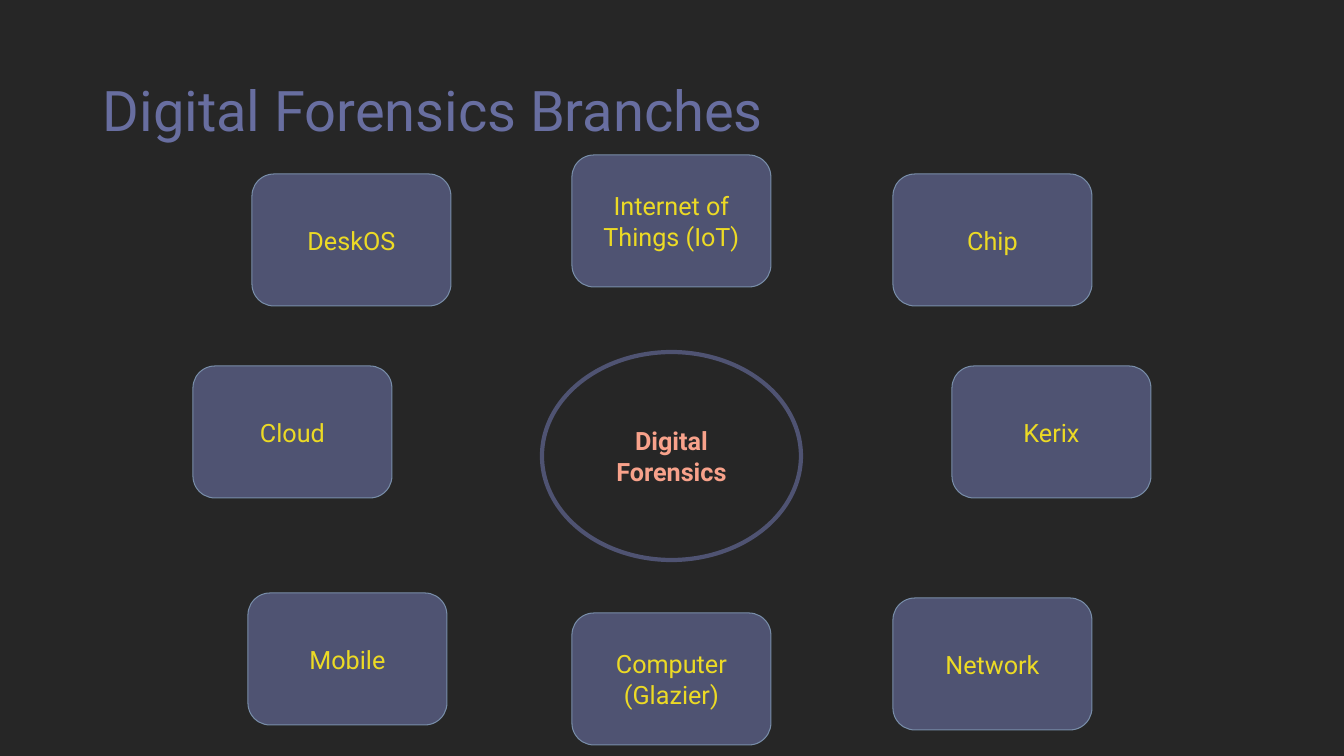
import pptx
import pptx.util
import pptx.dml.color
import pptx.enum.shapes
import pptx.enum.text

SCALE = 914400 / 100.8
HUES = {
    "back": "262626",
    "title": "686EA0",
    "card": "4F5372",
    "edge": "788DA8",
    "label": "ECDA25",
    "core": "F8A28B",
}
WIDE, HIGH = 1344, 756
CARD_W, CARD_H = 199, 132
MID = (WIDE - CARD_W) // 2
LEFT, RIGHT = 252, 893
CARDS = [
    ("DeskOS", LEFT, 174),
    ("Internet of Things (IoT)", MID, 155),
    ("Chip", RIGHT, 174),
    ("Kerix", 952, 366),
    ("Network", RIGHT, 598),
    ("Computer (Glazier)", MID, 613),
    ("Mobile", 248, 593),
    ("Cloud", 193, 366),
]
KINDS = pptx.enum.shapes.MSO_SHAPE
ALIGN = pptx.enum.text.PP_ALIGN


def span(*vals):
    return [pptx.util.Emu(round(v * SCALE)) for v in vals]


def write(shape, text, size, hue, align, bold=False):
    frame = shape.text_frame
    frame.word_wrap = True
    frame.vertical_anchor = pptx.enum.text.MSO_ANCHOR.MIDDLE
    frame.margin_left = frame.margin_right = pptx.util.Inches(0.1)
    frame.margin_top = frame.margin_bottom = pptx.util.Inches(0.1)
    para = frame.paragraphs[0]
    para.alignment = align
    run = para.add_run()
    run.text = text
    run.font.name = "Roboto"
    run.font.size = pptx.util.Pt(size)
    run.font.bold = bold
    run.font.color.rgb = pptx.dml.color.RGBColor.from_string(HUES[hue])
    return para


deck = pptx.Presentation()
deck.slide_width, deck.slide_height = span(WIDE, HIGH)
slide = deck.slides.add_slide(deck.slide_layouts[6])
fill = slide.background.fill
fill.solid()
fill.fore_color.rgb = pptx.dml.color.RGBColor.from_string(HUES["back"])

title = slide.shapes.add_textbox(*span(93, 40, 1159, 146))
para = write(title, "Digital Forensics Branches", 40, "title", ALIGN.LEFT)
para.line_spacing = 0.9

for name, left, top in CARDS:
    card = slide.shapes.add_shape(
        KINDS.ROUNDED_RECTANGLE, *span(left, top, CARD_W, CARD_H))
    card.shadow.inherit = False
    card.fill.solid()
    card.fill.fore_color.rgb = pptx.dml.color.RGBColor.from_string(HUES["card"])
    card.line.color.rgb = pptx.dml.color.RGBColor.from_string(HUES["edge"])
    card.line.width = pptx.util.Pt(0.75)
    write(card, name, 18, "label", ALIGN.CENTER)

core = slide.shapes.add_shape(KINDS.OVAL, *span(542, 352, 259, 208))
core.shadow.inherit = False
core.fill.background()
core.line.color.rgb = pptx.dml.color.RGBColor.from_string(HUES["card"])
core.line.width = pptx.util.Pt(3)
write(core, "Digital Forensics", 18, "core", ALIGN.CENTER, True)

deck.save("out.pptx")
